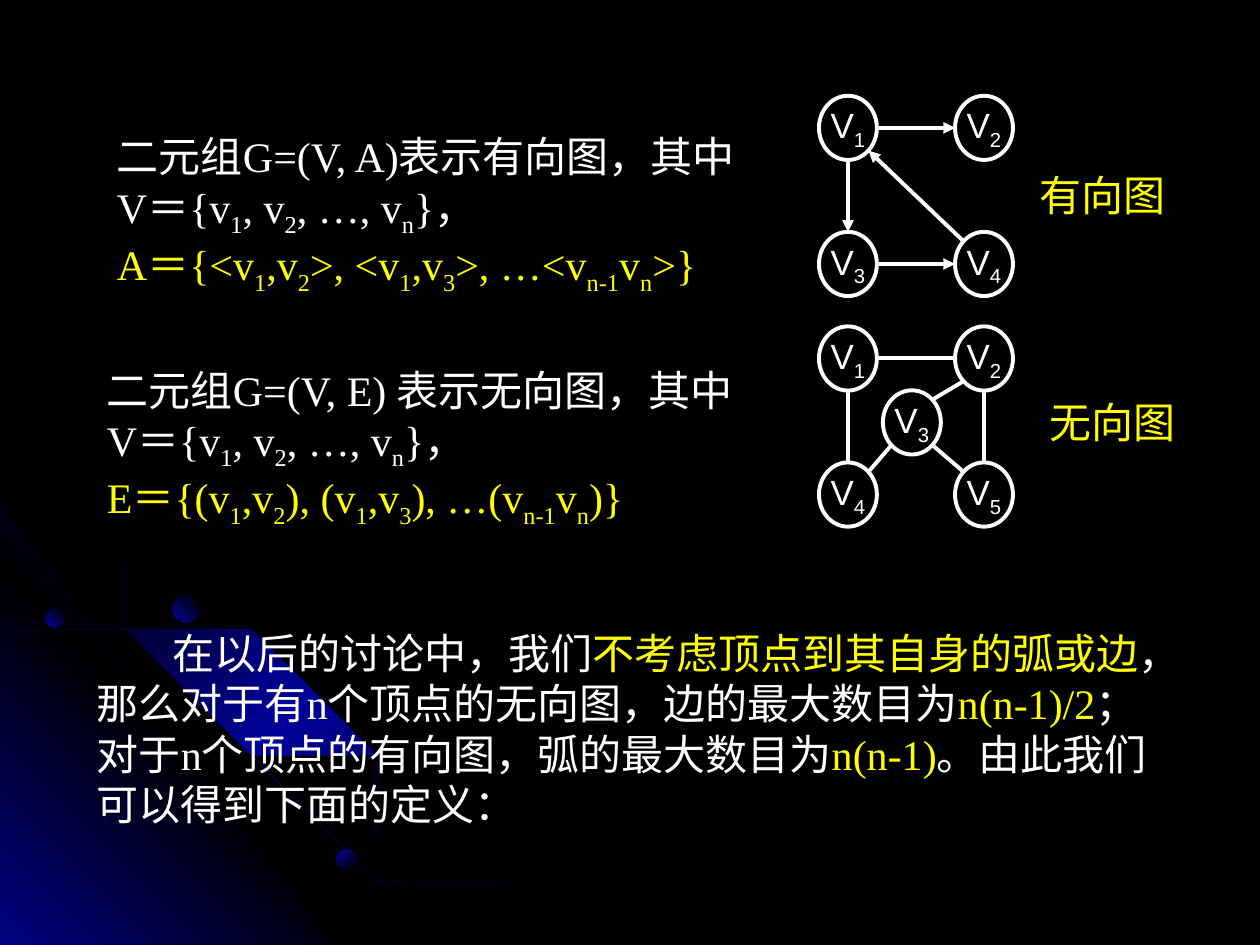
from math import hypot
from lxml.etree import SubElement
from pptx import Presentation
from pptx.dml.color import RGBColor
from pptx.enum.lang import MSO_LANGUAGE_ID as Lang
from pptx.enum.shapes import MSO_CONNECTOR as Conn, MSO_SHAPE as Kind
from pptx.enum.text import MSO_ANCHOR as Anchor, PP_ALIGN as Align
from pptx.oxml.ns import qn
from pptx.util import Inches, Pt

W, H = 10, 7.5
WHITE, GOLD, BLACK, BLUE = "FFFFFF", "FFFF00", "000000", "010199"
SERIF, SANS = "Times New Roman", "Arial"

# Text: every second part between bars is a subscript (or gold in the note)
VERTS = "V＝{v|1|, v|2|, …, v|n|}，"
SETS = [
    ((0.83, 0.99, 5.15, 1.31), [
        ("二元组G=(V, A)表示有向图，其中", WHITE), (VERTS, WHITE),
        ("A＝{<v|1|,v|2|>, <v|1|,v|3|>, …<v|n-1|v|n|>}", GOLD)]),
    ((0.75, 2.84, 5.51, 1.31), [
        ("二元组G=(V, E) 表示无向图，其中", WHITE), (VERTS, WHITE),
        ("E＝{(v|1|,v|2|), (v|1|,v|3|), …(v|n-1|v|n|)}", GOLD)]),
]
NOTE = [
    "在以后的讨论中，我们|不考虑顶点到其自身的弧或边|，",
    "那么对于有n个顶点的无向图，边的最大数目为|n(n-1)/2|；",
    "对于n个顶点的有向图，弧的最大数目为|n(n-1)|。由此我们",
    "可以得到下面的定义：",
]

# Graphs: nodes as (column, row) of a grid, edges as pairs of nodes
LEFT, COL, ROW = 6.5, 1.08, 1.08
NODE_W, NODE_H = 0.46, 0.51
GRAPHS = [
    dict(top=0.76, name="有向图", at=(8.15, 1.3), arrow=True,
         nodes={1: (0, 0), 2: (1, 0), 3: (0, 1), 4: (1, 1)},
         edges=[(1, 2), (1, 3), (3, 4), (4, 1)]),
    dict(top=2.59, name="无向图", at=(8.23, 3.1), arrow=False,
         nodes={1: (0, 0), 2: (1, 0), 3: (0.47, 0.47), 4: (0, 1), 5: (1, 1)},
         edges=[(1, 2), (1, 4), (2, 5), (3, 5), (2, 3), (3, 4)]),
]

# Backdrop: outer edge of each arc, and balls as (left, top, size, angle)
ARCS = [
    [(0, 4.35), (0.28, 4.41), (0.57, 4.47), (0.98, 4.59), (1.36, 4.77),
     (1.74, 4.97), (2.09, 5.21), (2.42, 5.48), (2.72, 5.78), (3, 6.11),
     (3.25, 6.48), (3.39, 6.73), (3.52, 6.98), (3.62, 7.23), (3.72, 7.49)],
    [(0, 4.75), (0.41, 4.88), (0.79, 5.05), (1.17, 5.26), (1.52, 5.49),
     (1.84, 5.76), (2.15, 6.06), (2.42, 6.4), (2.66, 6.76), (2.86, 7.12),
     (2.96, 7.3), (3.03, 7.49)],
    [(0, 4.42), (0.39, 4.55), (0.76, 4.73), (1.11, 4.93), (1.44, 5.16),
     (1.75, 5.43), (2.04, 5.73), (2.29, 6.03), (2.54, 6.39), (2.69, 6.65),
     (2.82, 6.93), (2.94, 7.2), (3.03, 7.49)],
]
WEDGE = [(0, 4.27), (3.22, 7.5), (0, 7.5)]
BALLS = [(0.36, 4.83, 0.15, 315), (2.67, 6.74, 0.16, 45), (1.37, 4.73, 0.21, 315)]
THICK = 0.02

prs = Presentation()
prs.slide_width, prs.slide_height = Inches(W), Inches(H)
slide = prs.slides.add_slide(prs.slide_layouts[6])
shapes = slide.shapes


def rgb(code):
    return RGBColor.from_string(code)


def shade(shape, stops, angle):
    shape.shadow.inherit = False
    shape.line.fill.background()
    shape.fill.background()
    old = shape.element.spPr.find(qn("a:noFill"))
    grad = SubElement(shape.element.spPr, qn("a:gradFill"), rotWithShape="1")
    old.getparent().replace(old, grad)
    group = SubElement(grad, qn("a:gsLst"))
    for i, code in enumerate(stops):
        stop = SubElement(group, qn("a:gs"), pos=str(100000 * i // (len(stops) - 1)))
        SubElement(stop, qn("a:srgbClr"), val=code)
    SubElement(grad, qn("a:lin"), ang=str(angle * 60000), scaled="1")


def outline(points, stops, angle):
    pen = shapes.build_freeform(*points[0], scale=Inches(1))
    pen.add_line_segments(points[1:], close=True)
    shade(pen.convert_to_shape(), stops, angle)


def write(para, text, size, face, color, mark=None):
    for i, part in enumerate(text.split("|")):
        run = para.add_run()
        run.text = part
        font = run.font
        font.size, font.name = Pt(size), face
        font.language_id = Lang.SIMPLIFIED_CHINESE
        font.color.rgb = rgb(mark if mark and i % 2 else color)
        if i % 2 and not mark:
            run._r.get_or_add_rPr().set("baseline", "-25000")


def text_box(place, lines, face=SERIF, mark=None, wrap=True):
    frame = shapes.add_textbox(*map(Inches, place)).text_frame
    frame.word_wrap = wrap
    for i, (text, color) in enumerate(lines):
        para = frame.add_paragraph() if i else frame.paragraphs[0]
        write(para, text, 24, face, color, mark)
    return frame


def draw_node(num, x, y):
    node = shapes.add_shape(Kind.OVAL, Inches(x - NODE_W / 2), Inches(y - NODE_H / 2),
                            Inches(NODE_W), Inches(NODE_H))
    node.shadow.inherit = False
    node.fill.background()
    node.line.color.rgb, node.line.width = rgb(WHITE), Pt(2.25)
    frame = node.text_frame
    frame.word_wrap, frame.vertical_anchor = False, Anchor.MIDDLE
    frame.paragraphs[0].alignment = Align.CENTER
    write(frame.paragraphs[0], f"V|{num}", 20, SANS, WHITE)


def sign(n):
    return (n > 0) - (n < 0)


def draw_edge(a, b, arrow):
    # Ends sit on the rims, at the nearest of eight compass points
    dx, dy = sign(b[0] - a[0]), sign(b[1] - a[1])
    span = 2 * hypot(dx, dy)
    rx, ry = dx * NODE_W / span, dy * NODE_H / span
    ends = a[0] + rx, a[1] + ry, b[0] - rx, b[1] - ry
    edge = shapes.add_connector(Conn.STRAIGHT, *map(Inches, ends))
    edge.line.color.rgb, edge.line.width = rgb(WHITE), Pt(2.25)
    if arrow:
        SubElement(edge.line._get_or_add_ln(), qn("a:tailEnd"), type="triangle")
    SubElement(edge._element.spPr, qn("a:effectLst"))


# Backdrop
slide.background.fill.solid()
slide.background.fill.fore_color.rgb = rgb(BLACK)
outline(WEDGE, [BLUE, BLACK, BLUE], 315)
for arc in ARCS:
    inner = [(max(x - THICK, 0), min(y + THICK, H)) for x, y in reversed(arc)]
    outline(arc + inner, [BLACK, BLUE, BLACK], 45)
for x, y, size, angle in BALLS:
    ball = shapes.add_shape(Kind.OVAL, *map(Inches, (x, y, size, size)))
    shade(ball, [BLUE, BLACK], angle)

# Definitions and closing note
for place, lines in SETS:
    text_box(place, lines)
note = text_box((0.67, 4.93, 8.87, 1.72), [(line, WHITE) for line in NOTE], mark=GOLD)
note.paragraphs[0]._p.get_or_add_pPr().set("indent", str(Inches(0.6)))

# Graphs
for graph in GRAPHS:
    spots = {num: (LEFT + NODE_W / 2 + c * COL, graph["top"] + NODE_H / 2 + r * ROW)
             for num, (c, r) in graph["nodes"].items()}
    for num, spot in spots.items():
        draw_node(num, *spot)
    for a, b in graph["edges"]:
        draw_edge(spots[a], spots[b], graph["arrow"])
    text_box((*graph["at"], 1.2, 0.5), [(graph["name"], GOLD)], SANS, wrap=False)

prs.save("out.pptx")
